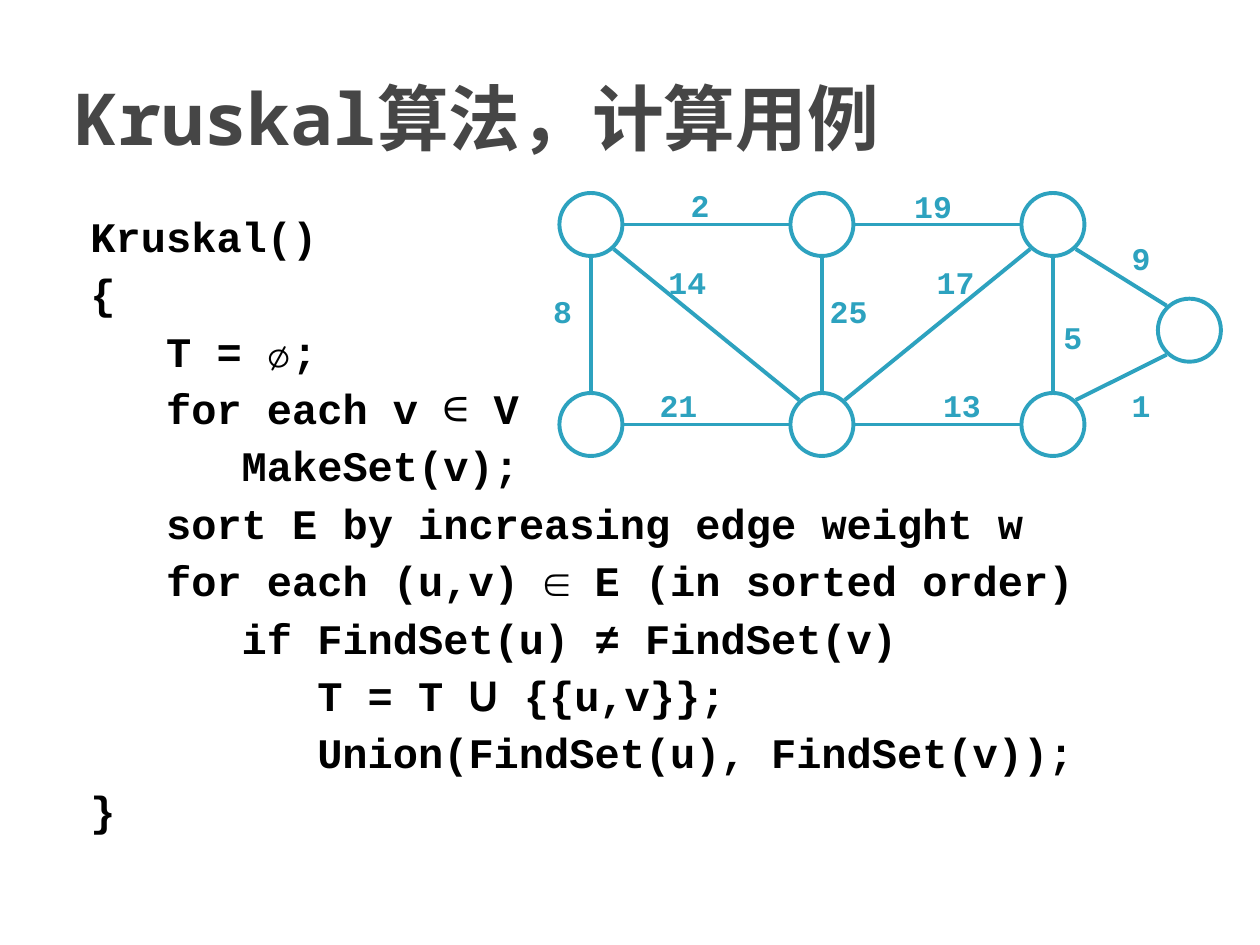
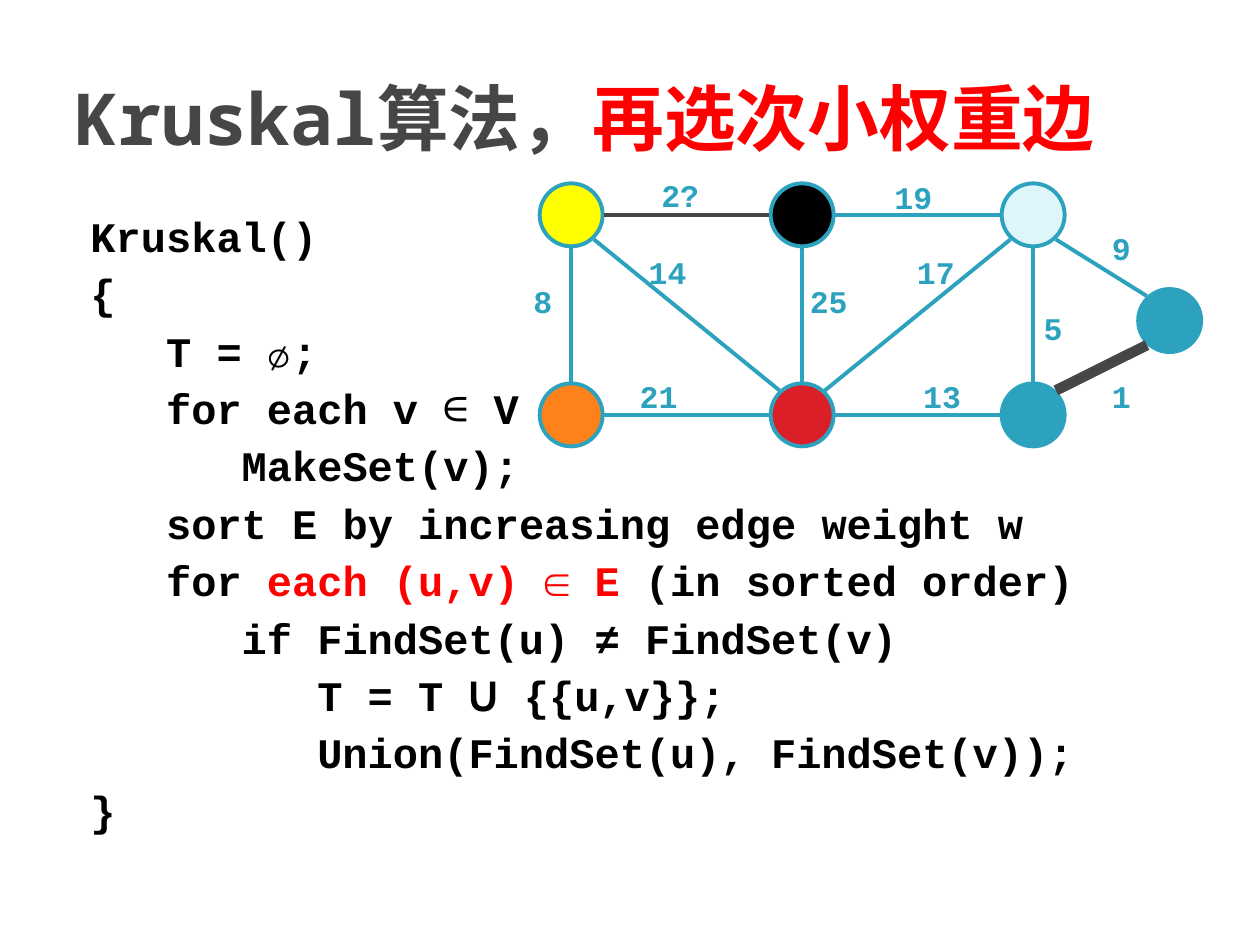
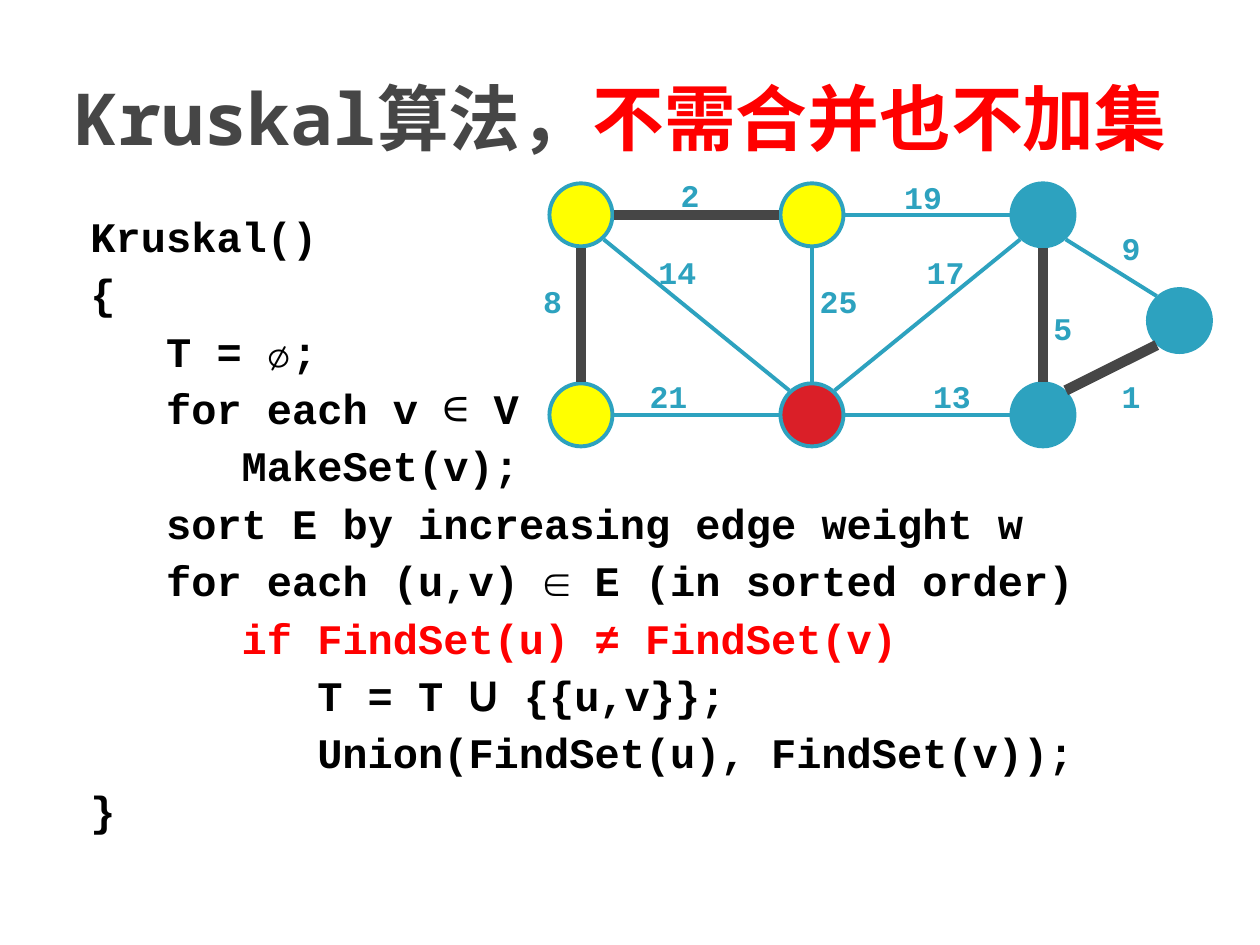
"""Build three slides that step through Kruskal's algorithm."""
from lxml.etree import SubElement
from pptx import Presentation
from pptx.dml.color import RGBColor
from pptx.enum.shapes import MSO_CONNECTOR, MSO_SHAPE
from pptx.enum.text import MSO_ANCHOR, PP_ALIGN
from pptx.oxml.ns import qn
from pptx.util import Pt

WHITE = RGBColor(0xFF, 0xFF, 0xFF)
BLACK = RGBColor(0x00, 0x00, 0x00)
DARK = RGBColor(0x46, 0x46, 0x46)
RED = RGBColor(0xFF, 0x00, 0x00)
TEAL = RGBColor(0x2D, 0xA2, 0xBF)
PALE = RGBColor(0xDE, 0xF5, 0xFA)
YELLOW = RGBColor(0xFF, 0xFF, 0x00)
ORANGE = RGBColor(0xFF, 0x81, 0x19)
CRIMSON = RGBColor(0xDA, 0x1F, 0x28)

CODE_FONT = "Courier New"
TITLE_FONT = "Noto Sans Mono"
INDENT = 43.2
NODE_SIZE = 36
THIN, THICK = 2.25, 6

CODE = [
    (0, ["Kruskal()"]),
    (0, ["{"]),
    (1, ["T = ∅;"]),
    (1, ["for each v ", "∈", " V"]),
    (2, ["MakeSet(v);"]),
    (1, ["sort E by increasing edge weight w"]),
    (1, ["for ", "each (u,v) ∈ E ", "(in sorted order)"]),
    (2, ["if FindSet(u) ≠ FindSet(v)"]),
    (3, ["T = T ", "U", " {{u,v}};"]),
    (3, ["Union(FindSet(u), FindSet(v));"]),
    (0, ["}"]),
]
SYMBOL_FORMAT = {"∈": {"font": TITLE_FONT, "bold": False}, "U": {"font": "Cabin"}}

NODES = {
    "a": (0, 0), "b": (132, 0), "c": (264, 0), "d": (264, 114.3),
    "e": (342, 60.4), "f": (132, 114.3), "g": (0, 114.3),
}
EDGES = [
    ("a", "b", 2, (80.3, 6.8)), ("b", "c", 19, (213.5, 7.6)),
    ("c", "f", 17, (226.4, 50.8)), ("f", "g", 21, (68, 121.3)),
    ("g", "a", 8, (1.8, 67.3)), ("a", "f", 14, (73.1, 50.8)),
    ("f", "b", 25, (165.2, 67.3)), ("f", "d", 13, (230, 121.3)),
    ("d", "c", 5, (293.4, 82.4)), ("c", "e", 9, (332.3, 37.1)),
    ("d", "e", 1, (332.3, 121.3)),
]
SLIDES = [
    {"title": "计算用例", "title_color": DARK, "red": [], "origin": (319.7, 110.3),
     "fills": [WHITE] * 7, "dark": {}, "labels": {}},
    {"title": "再选次小权重边", "title_color": RED, "red": ["each (u,v) ∈ E "],
     "origin": (308.4, 104.8),
     "fills": [YELLOW, BLACK, PALE, TEAL, TEAL, CRIMSON, ORANGE],
     "dark": {2: THIN, 1: THICK}, "labels": {2: "2?"}},
    {"title": "不需合并也不加集", "title_color": RED, "red": ["if FindSet(u) ≠ FindSet(v)"],
     "origin": (314, 104.8),
     "fills": [YELLOW, YELLOW, TEAL, TEAL, TEAL, CRIMSON, YELLOW],
     "dark": {2: THICK, 8: THICK, 5: THICK, 1: THICK}, "labels": {}},
]


def add_text(slide, box, lines, size, color, font=CODE_FONT, align=PP_ALIGN.LEFT,
             anchor=MSO_ANCHOR.MIDDLE, wrap=True, before=0, spacing=None, margin=0):
    """Add a text box from (level, [(text, format)]) lines."""
    tf = slide.shapes.add_textbox(*map(Pt, box)).text_frame
    tf.word_wrap = wrap
    tf.vertical_anchor = anchor
    for i, (level, runs) in enumerate(lines):
        p = tf.paragraphs[0] if i == 0 else tf.add_paragraph()
        p.alignment = align
        p.space_before = Pt(before)
        if spacing:
            p.line_spacing = Pt(spacing)
        p._p.get_or_add_pPr().set("marL", str(Pt(margin + level * INDENT)))
        for text, fmt in runs:
            r = p.add_run()
            r.text = text
            r.font.size = Pt(size)
            r.font.name = fmt.get("font", font)
            r.font.bold = fmt.get("bold", True)
            r.font.color.rgb = fmt.get("color", color)


def trim(dx, dy):
    """Return the step from a node centre to the end of an edge."""
    reach_x, reach_y = (13, 14) if dx and dy else (19, 19)
    return ((dx > 0) - (dx < 0)) * reach_x, ((dy > 0) - (dy < 0)) * reach_y


prs = Presentation()
prs.slide_width, prs.slide_height = Pt(720), Pt(540)

for step in SLIDES:
    slide = prs.slides.add_slide(prs.slide_layouts[6])
    title = [("Kruskal算法，", {}), (step["title"], {"color": step["title_color"]})]
    add_text(slide, (36, 21.6, 648, 90), [(0, title)], 41, DARK, font=TITLE_FONT)

    code = []
    for level, parts in CODE:
        runs = []
        for part in parts:
            fmt = {"color": RED} if part in step["red"] else SYMBOL_FORMAT.get(part, {})
            runs.append((part, fmt))
        code.append((level, runs))
    add_text(slide, (36, 116.6, 648, 356.4), code, 24, BLACK, anchor=MSO_ANCHOR.TOP,
             before=4, spacing=28.8, margin=8.64)

    left, top = step["origin"]
    for (x, y), fill in zip(NODES.values(), step["fills"]):
        sp = slide.shapes.add_shape(MSO_SHAPE.OVAL, Pt(left + x), Pt(top + y),
                                    Pt(NODE_SIZE), Pt(NODE_SIZE))
        sp.shadow.inherit = False
        sp.fill.solid()
        sp.fill.fore_color.rgb = fill
        sp.line.color.rgb = TEAL
        sp.line.width = Pt(THIN)

    center_x, center_y = left + NODE_SIZE / 2, top + NODE_SIZE / 2
    for start, end, weight, _ in EDGES:
        (x1, y1), (x2, y2) = NODES[start], NODES[end]
        dx, dy = trim(x2 - x1, y2 - y1)
        line = slide.shapes.add_connector(
            MSO_CONNECTOR.STRAIGHT, Pt(center_x + x1 + dx), Pt(center_y + y1 + dy),
            Pt(center_x + x2 - dx), Pt(center_y + y2 - dy))
        line.line.color.rgb = DARK if weight in step["dark"] else TEAL
        line.line.width = Pt(step["dark"].get(weight, THIN))
        SubElement(line._element.spPr, qn("a:effectLst"))

    for _, _, weight, (x, y) in EDGES:
        label = step["labels"].get(weight, str(weight))
        width, height = 16 + 10.8 * len(label), 31
        box = (left + x - width / 2, top + y - height / 2, width, height)
        add_text(slide, box, [(0, [(label, {})])], 18, TEAL,
                 align=PP_ALIGN.CENTER, wrap=False)

prs.save("out.pptx")
